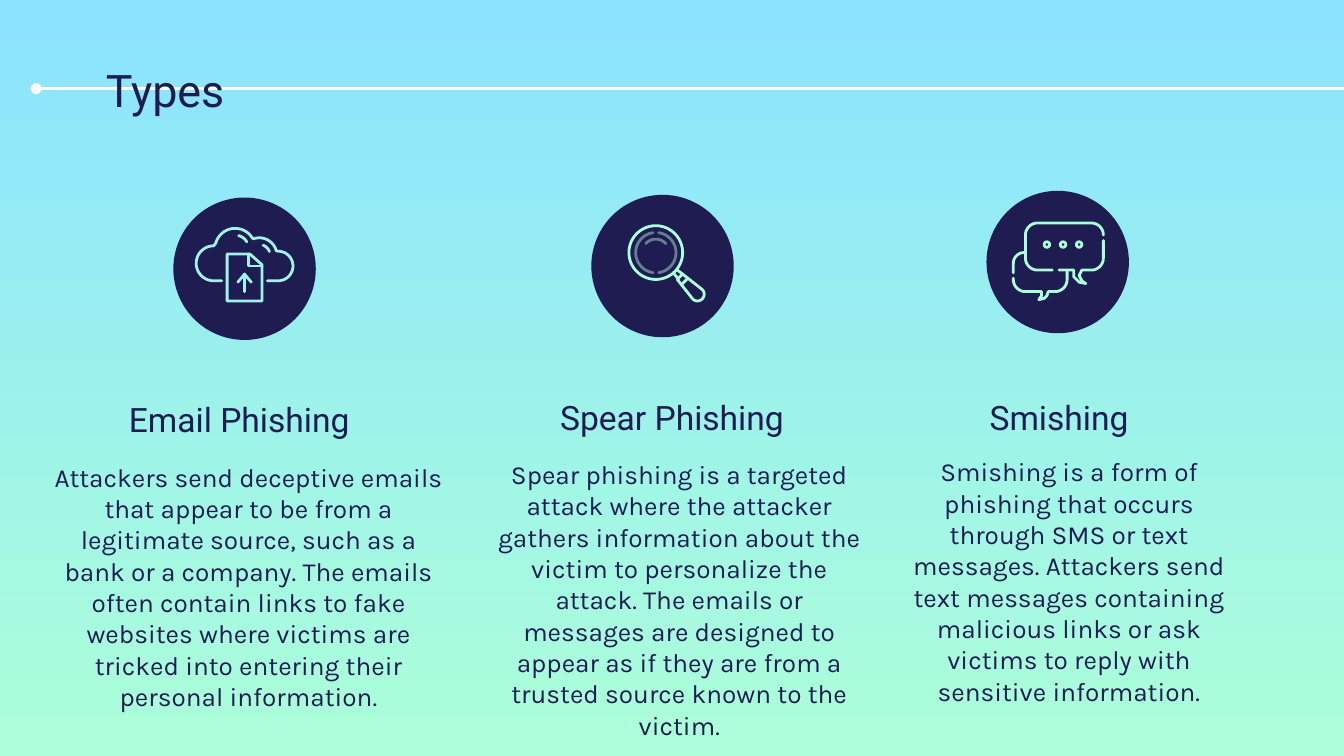
from dataclasses import dataclass
from math import cos, radians, sin

from lxml.etree import SubElement
from pptx import Presentation
from pptx.dml.color import RGBColor
from pptx.enum.shapes import MSO_CONNECTOR, MSO_SHAPE
from pptx.enum.text import MSO_ANCHOR, PP_ALIGN
from pptx.oxml.ns import qn
from pptx.util import Inches, Pt

COLORS = {
    "navy": "1F1C51",
    "sky": "8BE3FF",
    "mint": "ACFFD9",
    "aqua": "A0F3E8",
    "slate": "657E93",
    "white": "FFFFFF",
}
SLIDE_WIDTH = 10
SLIDE_HEIGHT = SLIDE_WIDTH * 9 / 16
DISC_SIZE = 1.06
HEADING_SIZE = (2.42, 0.59)
BODY_HEIGHT = 1.26

Point = tuple[float, float]
Stroke = list[Point]


@dataclass
class IconPart:
    color: str
    strokes: list[Stroke]


@dataclass
class PhishingType:
    heading: str
    description: str
    heading_at: Point
    body_at: Point
    body_width: float
    disc_at: Point
    icon: list[IconPart]


def color(name: str) -> RGBColor:
    return RGBColor.from_string(COLORS[name])


def arc(x: float, y: float, radius: float, start: float, end: float) -> Stroke:
    """Points along an arc; degrees run clockwise from the right."""
    steps = max(6, round(abs(end - start) / 6))
    angles = [radians(start + (end - start) * i / steps) for i in range(steps + 1)]
    return [(x + radius * cos(a), y + radius * sin(a)) for a in angles]


def add_text(slide, text: str, left: float, top: float, width: float, height: float,
             font: str, size: int, align=PP_ALIGN.CENTER, anchor=MSO_ANCHOR.TOP,
             space_after: int = 0) -> None:
    frame = slide.shapes.add_textbox(
        Inches(left), Inches(top), Inches(width), Inches(height)).text_frame
    frame.word_wrap = True
    frame.vertical_anchor = anchor
    frame.margin_left = frame.margin_right = Inches(0.1)
    frame.margin_top = frame.margin_bottom = Inches(0.1)
    paragraph = frame.paragraphs[0]
    paragraph.alignment = align
    paragraph.space_after = Pt(space_after)
    run = paragraph.add_run()
    run.text = text
    run.font.name = font
    run.font.size = Pt(size)
    run.font.color.rgb = color("navy")


def add_disc(slide, left: float, top: float) -> None:
    disc = slide.shapes.add_shape(
        MSO_SHAPE.OVAL, Inches(left), Inches(top), Inches(DISC_SIZE), Inches(DISC_SIZE))
    disc.shadow.inherit = False
    disc.fill.solid()
    disc.fill.fore_color.rgb = color("navy")
    disc.line.fill.background()


def add_icon(slide, parts: list[IconPart]) -> None:
    group = slide.shapes.add_group_shape()
    for part in parts:
        strokes = [[(Inches(x), Inches(y)) for x, y in stroke] for stroke in part.strokes]
        builder = group.shapes.build_freeform(*strokes[0][0])
        for index, stroke in enumerate(strokes):
            if index:
                builder.move_to(*stroke[0])
            builder.add_line_segments(stroke[1:], close=stroke[0] == stroke[-1])
        shape = builder.convert_to_shape()
        shape.shadow.inherit = False
        shape.fill.background()
        shape.line.color.rgb = color(part.color)
        shape.line.width = Pt(1.5)
        line = shape.line._get_or_add_ln()
        line.set("cap", "rnd")
        SubElement(line, qn("a:round"))


def add_title_line(slide) -> None:
    line = slide.shapes.add_connector(
        MSO_CONNECTOR.STRAIGHT, Inches(0.27), Inches(0.66), Inches(10.1), Inches(0.66))
    line.line.color.rgb = color("white")
    line.line.width = Pt(1.5)
    SubElement(line.line._get_or_add_ln(), qn("a:headEnd"), type="oval")
    SubElement(line._element.spPr, qn("a:effectLst"))


def add_phishing_type(slide, item: PhishingType) -> None:
    add_text(slide, item.description, *item.body_at, item.body_width, BODY_HEIGHT,
             "Karla", 14, space_after=16)
    add_text(slide, item.heading, *item.heading_at, *HEADING_SIZE,
             "Roboto", 18, anchor=MSO_ANCHOR.BOTTOM)
    add_disc(slide, *item.disc_at)
    add_icon(slide, item.icon)


CLOUD_UPLOAD = [
    IconPart("aqua", [[(1.65, 2.09), *arc(1.59, 1.96, 0.13, 90, 270),
                       *arc(1.75, 1.85, 0.15, 195, 328),
                       *arc(1.93, 1.9, 0.13, 250, 345),
                       *arc(2.07, 1.98, 0.11, 270, 450), (1.99, 2.09)]]),
    IconPart("aqua", [[(1.69, 1.89), (1.86, 1.89), (1.95, 1.97), (1.95, 2.24),
                       (1.69, 2.24), (1.69, 1.89)],
                      [(1.85, 1.89), (1.85, 1.98), (1.95, 1.98)]]),
    IconPart("aqua", [[(1.82, 2.17), (1.82, 2.04)],
                      [(1.77, 2.1), (1.82, 2.04), (1.87, 2.1)]]),
    IconPart("aqua", [arc(1.75, 1.85, 0.1, 285, 330)]),
    IconPart("aqua", [arc(1.93, 1.9, 0.08, 290, 340)]),
]

LENS = (4.88, 1.88)
MAGNIFIER = [
    IconPart("slate", [arc(*LENS, 0.1, 222, 318)]),
    IconPart("mint", [arc(*LENS, 0.2, 0, 360),
                      [(5.01, 2.03), (5.05, 2.08)], [(5.04, 2.01), (5.08, 2.04)],
                      [(5.04, 2.08), (5.08, 2.04), *arc(5.19, 2.19, 0.05, -45, 135),
                       (5.04, 2.08)],
                      [(5.07, 2.12), (5.12, 2.07)]]),
    IconPart("slate", [arc(*LENS, 0.15, -82, 82)]),
    IconPart("slate", [arc(*LENS, 0.15, 98, 262)]),
]

CHAT_BUBBLES = [
    IconPart("mint", [[(8.21, 1.79), *arc(8.12, 1.92, 0.09, 0, 90), (8.05, 2.01),
                       (8.03, 2.05), (8.05, 2.09), (8.08, 2.11), (8.03, 2.1),
                       (7.99, 2.06), (7.99, 2.01), (7.88, 2.01)],
                      [(7.94, 2.02), *arc(7.85, 2.08, 0.09, 0, 90), (7.8, 2.17),
                       (7.79, 2.2), (7.77, 2.22), (7.73, 2.23), (7.75, 2.2),
                       (7.75, 2.17), *arc(7.63, 2.08, 0.09, 90, 180), (7.54, 2.07)]]),
    IconPart("mint", [[(8.21, 1.75), *arc(8.12, 1.75, 0.09, 0, -90),
                       *arc(7.72, 1.75, 0.09, 270, 180),
                       *arc(7.72, 1.92, 0.09, 180, 90), (7.83, 2.01)],
                      [(7.54, 2.03), *arc(7.62, 1.96, 0.08, 180, 270)]]),
    *(IconPart("mint", [arc(7.79 + 0.12 * i, 1.82, 0.02, 0, 360)]) for i in range(3)),
]

PHISHING_TYPES = [
    PhishingType(
        "Spear Phishing",
        "Spear phishing is a targeted attack where the attacker gathers information about "
        "the victim to personalize the attack. The emails or messages are designed to "
        "appear as if they are from a trusted source known to the victim.",
        (3.79, 2.76), (3.6, 3.31), 2.91, (4.4, 1.45), MAGNIFIER),
    PhishingType(
        "Email Phishing",
        "Attackers send deceptive emails that appear to be from a legitimate source, such "
        "as a bank or a company. The emails often contain links to fake websites where "
        "victims are tricked into entering their personal information.",
        (0.57, 2.78), (0.29, 3.33), 3.12, (1.29, 1.47), CLOUD_UPLOAD),
    PhishingType(
        "Smishing",
        "Smishing is a form of phishing that occurs through SMS or text messages. Attackers "
        "send text messages containing malicious links or ask victims to reply with "
        "sensitive information.",
        (6.67, 2.76), (6.67, 3.29), 2.57, (7.34, 1.42), CHAT_BUBBLES),
]


def main() -> None:
    presentation = Presentation()
    presentation.slide_width = Inches(SLIDE_WIDTH)
    presentation.slide_height = Inches(SLIDE_HEIGHT)
    slide = presentation.slides.add_slide(presentation.slide_layouts[6])
    background = slide.background.fill
    background.gradient()
    background.gradient_angle = 270
    for stop, name in zip(background.gradient_stops, ("sky", "mint")):
        stop.color.rgb = color(name)
    add_title_line(slide)
    add_text(slide, "Types", 0.69, 0.37, 6.65, 0.59, "Roboto", 24, align=PP_ALIGN.LEFT)
    for item in PHISHING_TYPES:
        add_phishing_type(slide, item)
    presentation.save("out.pptx")


if __name__ == "__main__":
    main()
